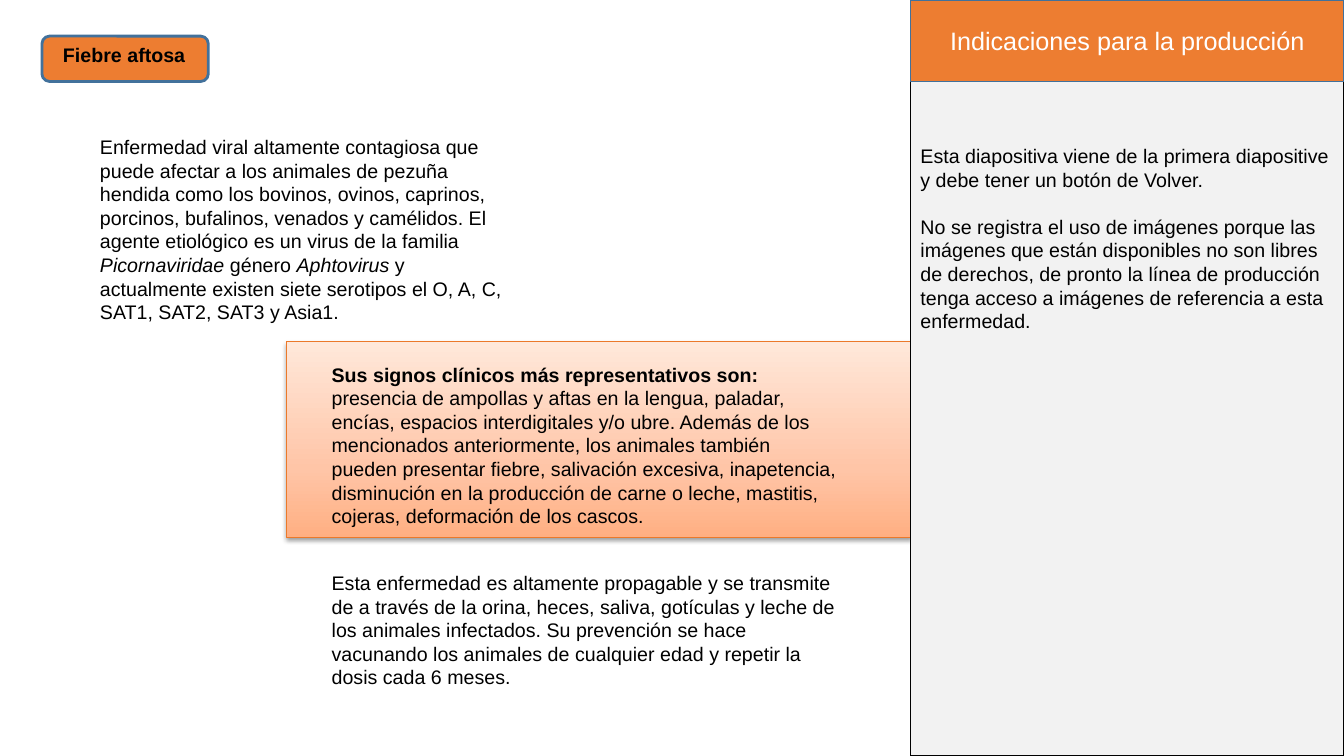
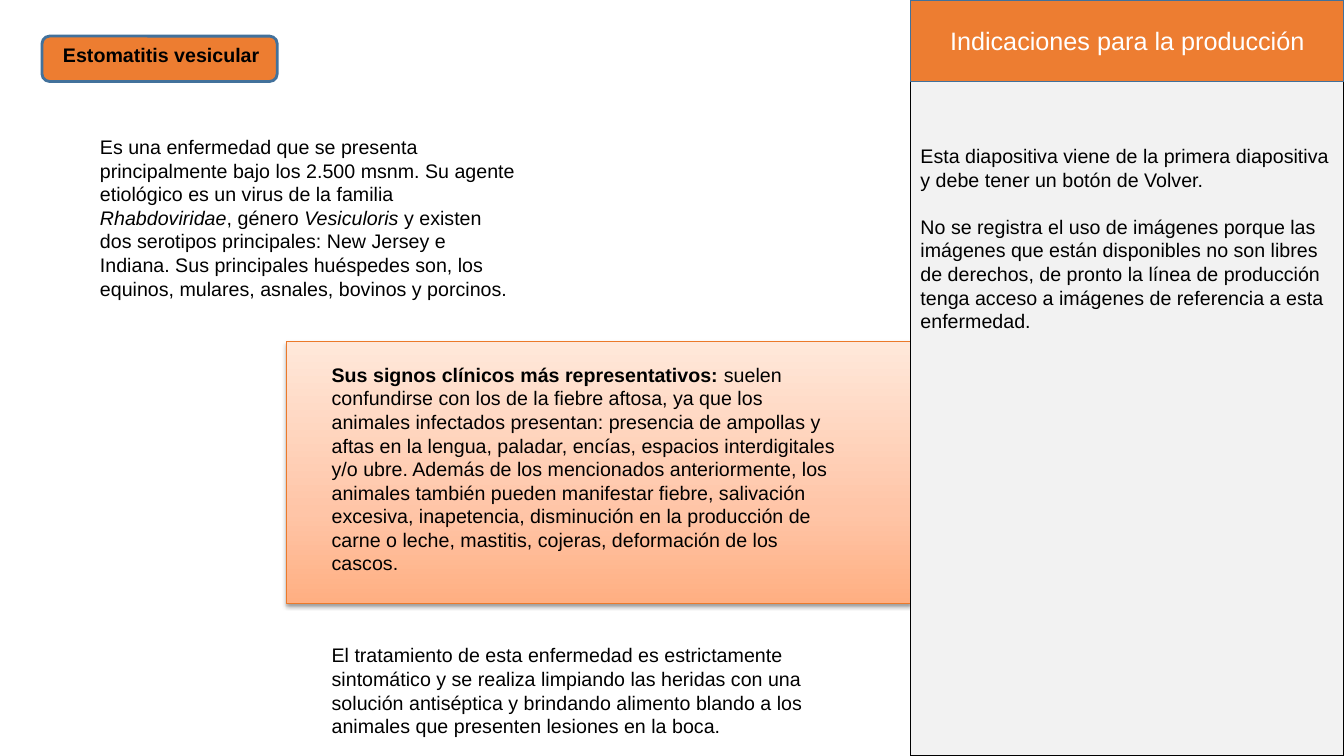
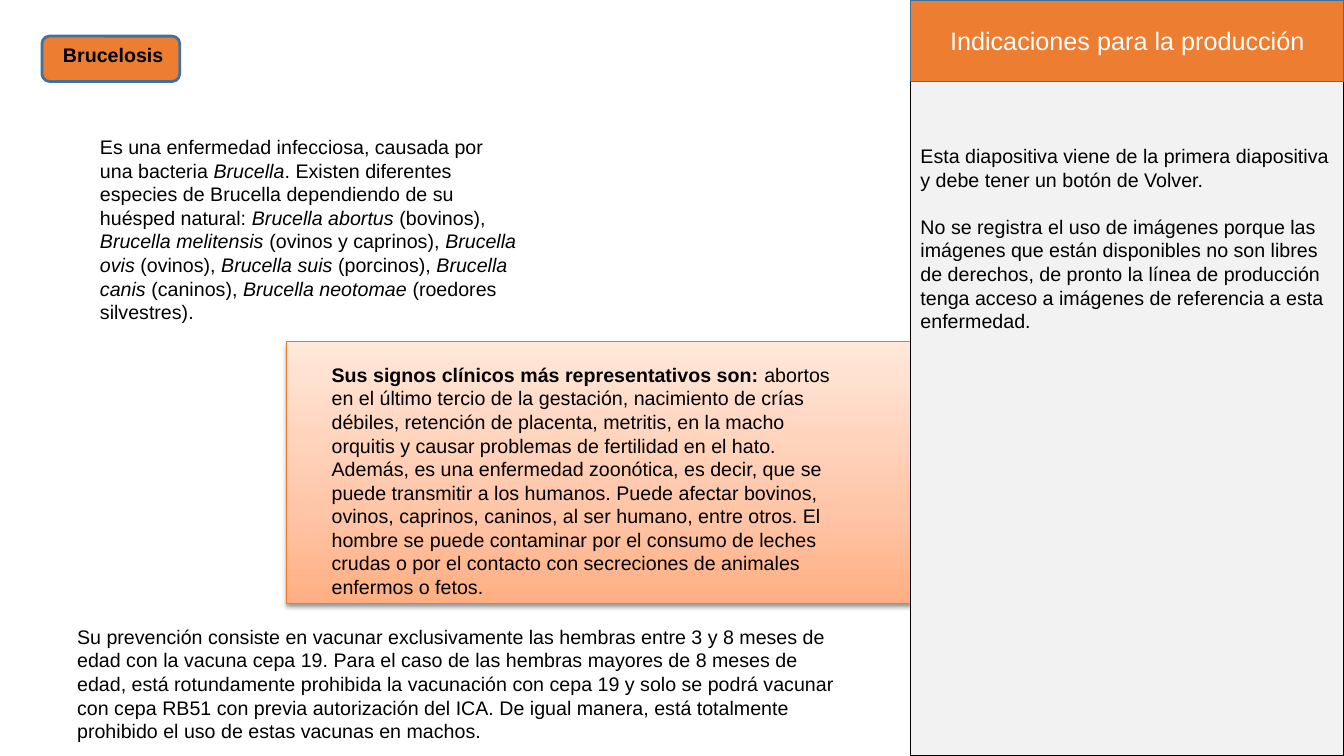
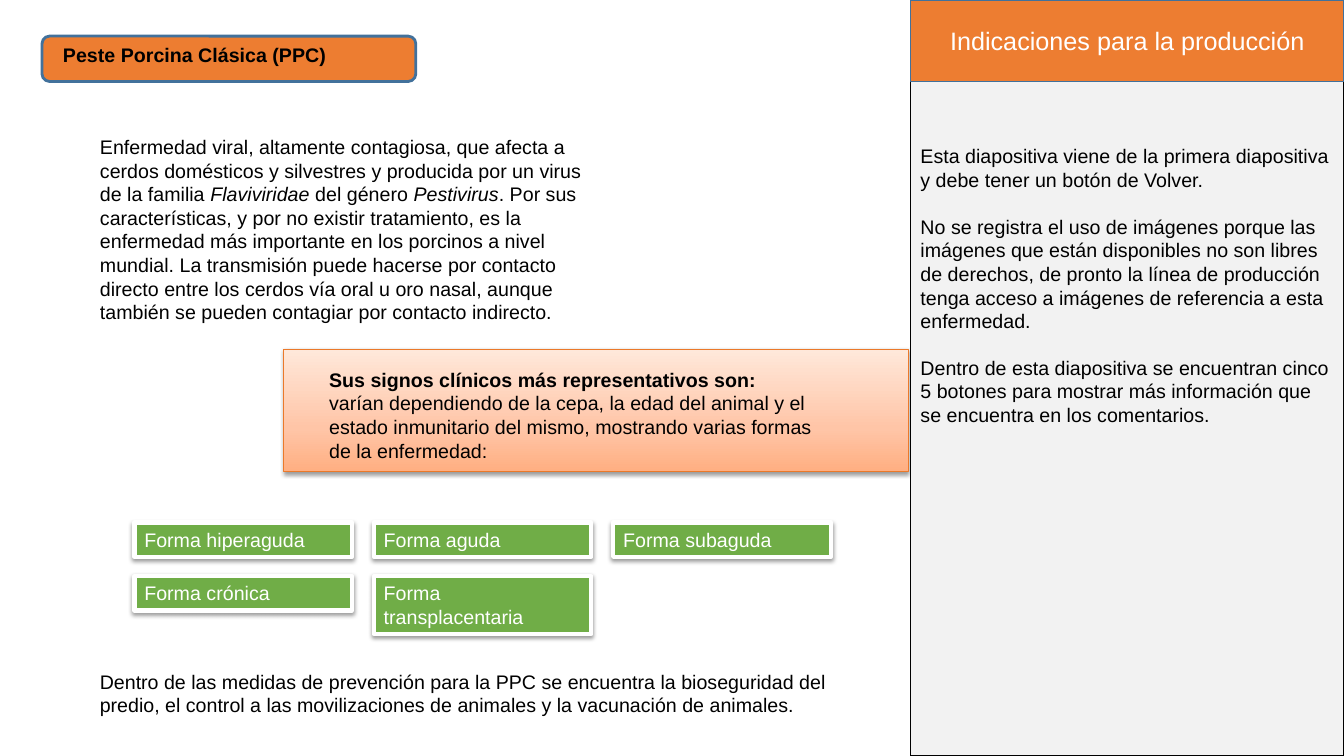
import pptx
import pptx.util
import pptx.dml.color
import pptx.enum.shapes
import pptx.enum.text
import pptx.oxml
import pptx.oxml.ns
from lxml import etree

RGB = pptx.dml.color.RGBColor
KIND = pptx.enum.shapes.MSO_SHAPE
ALIGN = pptx.enum.text.PP_ALIGN
ANCHOR = pptx.enum.text.MSO_ANCHOR
Pt = pptx.util.Pt

ORANGE = RGB(0xED, 0x7D, 0x31)
RUST = RGB(0xEB, 0x79, 0x2A)
BLUE = RGB(0x42, 0x71, 0x9B)
GREEN = RGB(0x70, 0xAD, 0x47)
GRAY = RGB(0xF2, 0xF2, 0xF2)
BLACK = RGB(0, 0, 0)
WHITE = RGB(0xFF, 0xFF, 0xFF)
PEACH = ((0, RGB(0xFF, 0xAF, 0x82)), (35, RGB(0xFF, 0xC5, 0xA7)),
         (100, RGB(0xFF, 0xE8, 0xDA)))

COLS, ROWS = 16, 9
FONT = "Arial"
SIZE = 14
GAP = 16.7

deck = pptx.Presentation()
deck.slide_width = pptx.util.Inches(13.33)
deck.slide_height = pptx.util.Inches(7.5)


def place(box):
    """Turn a box in grid columns and rows into slide lengths."""
    wide, high = deck.slide_width / COLS, deck.slide_height / ROWS
    return [round(n * u) for n, u in zip(box, (wide, high, wide, high))]


def write(frame, paras, mark="italic", size=SIZE, color=BLACK, gap=0):
    """Write paragraphs, styling the words between asterisks with mark."""
    frame.word_wrap = True
    frame.auto_size = pptx.enum.text.MSO_AUTO_SIZE.NONE
    frame.vertical_anchor = ANCHOR.TOP
    for i, text in enumerate(paras):
        para = frame.add_paragraph() if i else frame.paragraphs[0]
        para.alignment = ALIGN.LEFT
        para.space_before = Pt(gap if i else 0)
        for j, part in enumerate(text.split("*")):
            if part:
                run = para.add_run()
                run.text = part
                run.font.name, run.font.size = FONT, Pt(size)
                run.font.color.rgb = color
                setattr(run.font, mark, j % 2 == 1)


def note(slide, box, paras, **style):
    """Add a plain text box."""
    write(slide.shapes.add_textbox(*place(box)).text_frame, paras, **style)


def block(slide, box, fill, line, width, kind=KIND.RECTANGLE):
    """Add a filled and outlined shape without shadow."""
    shape = slide.shapes.add_shape(kind, *place(box))
    shape.shadow.inherit = False
    if fill is not None:
        shape.fill.solid()
        shape.fill.fore_color.rgb = fill
    shape.line.color.rgb = line
    shape.line.width = Pt(width)
    return shape


def shade(shape):
    """Give a shape a soft shadow below it."""
    list_ = shape._element.spPr.find(pptx.oxml.ns.qn("a:effectLst"))
    drop = etree.SubElement(
        list_, pptx.oxml.ns.qn("a:outerShdw"), blurRad=str(Pt(3.1)),
        dist=str(Pt(1.6)), dir="5400000", rotWithShape="0")
    tint = etree.SubElement(drop, pptx.oxml.ns.qn("a:srgbClr"), val="000000")
    etree.SubElement(tint, pptx.oxml.ns.qn("a:alpha"), val="38000")


def blend(shape, stops):
    """Fill a shape with a gradient that rises from the bottom."""
    marks = "".join(
        f'<a:gs pos="{pos * 1000}"><a:srgbClr val="{color}"/></a:gs>'
        for pos, color in stops)
    fill = pptx.oxml.parse_xml(
        f'<a:gradFill {pptx.oxml.ns.nsdecls("a")} rotWithShape="1">'
        f'<a:gsLst>{marks}</a:gsLst>'
        '<a:lin ang="16200000" scaled="0"/></a:gradFill>')
    shape._element.spPr.insert(2, fill)


def signs(slide, box, paras, drop=0.19):
    """Draw the callout with the clinical signs."""
    shape = block(slide, box, None, RUST, 0.75)
    blend(shape, PEACH)
    shade(shape)
    left, top, _, high = box
    return (left + 0.42, top + drop, 6.29, high - drop), paras


def panel(slide, box, paras):
    """Draw the side panel with its heading and directions."""
    left, top, wide, high = box
    block(slide, box, GRAY, BLACK, 1)
    note(slide, (left, top + 1.66, wide + 0.03, 3.96), paras, gap=GAP)
    head = block(slide, (left, top, wide, 0.97), ORANGE, BLUE, 1)
    write(head.text_frame, ["Indicaciones para la producción"],
          size=18, color=WHITE)
    head.text_frame.vertical_anchor = ANCHOR.MIDDLE
    head.text_frame.paragraphs[0].alignment = ALIGN.CENTER


def label(slide, box, text):
    """Draw the rounded tag and set the slide title over it."""
    left, top, wide, high = box
    block(slide, box, ORANGE, BLUE, 2, KIND.ROUNDED_RECTANGLE)
    title = slide.shapes.title
    title.left, title.top, title.width, title.height = place(
        (left + 0.13, top + 0.02, wide - 0.13, 0.41))
    write(title.text_frame, [f"*{text}*"], mark="bold")
    slide.shapes._spTree.append(title._element)


def intro(slide, box, text):
    """Set the opening text in the body placeholder, without bullets."""
    body = slide.placeholders[1]
    body.left, body.top, body.width, body.height = place(box)
    write(body.text_frame, [text])
    props = body.text_frame.paragraphs[0]._p.get_or_add_pPr()
    props.set("marL", "0")
    props.set("indent", "0")
    etree.SubElement(props, pptx.oxml.ns.qn("a:buNone"))


def forms(slide, box, names, count=3):
    """Lay out the green buttons in rows of count."""
    left, top, wide, high = box
    for i, name in enumerate(names):
        row, col = divmod(i, count)
        tall = 0.69 if len(name) > 20 else 0.41
        cell = (left + col * wide / count, top + row * high / 2, 2.59, tall)
        shape = block(slide, cell, GREEN, WHITE, 3)
        shade(shape)
        write(shape.text_frame, [name], color=WHITE)


def sheet(name, tag, lead, wide, call, facts, tail, close,
          hints, drop=0.19, kinds=()):
    """Build one disease slide."""
    slide = deck.slides.add_slide(deck.slide_layouts[1])
    area, paras = signs(slide, call, facts, drop)
    panel(slide, (10.84, 0, 5.16, 9), hints)
    intro(slide, (1.07, 1.55, wide, 2.33), lead)
    label(slide, (0.5, 0.43, tag, 0.54), name)
    note(slide, tail, [close])
    note(slide, area, paras, mark="bold")
    forms(slide, (1.6, 6.22, 8.55, 1.28), kinds)


BACK = "Esta diapositiva viene de la primera diapositiva y debe tener un botón de Volver."
HINTS = [
    BACK,
    "No se registra el uso de imágenes porque las imágenes que están disponibles "
    "no son libres de derechos, de pronto la línea de producción tenga acceso a "
    "imágenes de referencia a esta enfermedad."]
SIGNS = "*Sus signos clínicos más representativos son: *"

sheet(
    "Fiebre aftosa", 1.98,
    "Enfermedad viral altamente contagiosa que puede afectar a los animales de "
    "pezuña hendida como los bovinos, ovinos, caprinos, porcinos, bufalinos, "
    "venados y camélidos. El agente etiológico es un virus de la familia "
    "*Picornaviridae* género *Aphtovirus* y actualmente existen siete serotipos "
    "el O, A, C, SAT1, SAT2, SAT3 y Asia1.", 5.2,
    (3.41, 4.07, 7.43, 2.33),
    [SIGNS + "presencia de ampollas y aftas en la lengua, paladar, encías, "
     "espacios interdigitales y/o ubre. Además de los mencionados anteriormente, "
     "los animales también pueden presentar fiebre, salivación excesiva, "
     "inapetencia, disminución en la producción de carne o leche, mastitis, "
     "cojeras, deformación de los cascos."],
    (3.83, 6.74, 6.29, 1.54),
    "Esta enfermedad es altamente propagable y se transmite de a través de la "
    "orina, heces, saliva, gotículas y leche de los animales infectados. Su "
    "prevención se hace vacunando los animales de cualquier edad y repetir la "
    "dosis cada 6 meses.",
    [BACK.replace("diapositiva y", "diapositive y"), HINTS[1]])

sheet(
    "Estomatitis vesicular", 2.8,
    "Es una enfermedad que se presenta principalmente bajo los 2.500 msnm. Su "
    "agente etiológico es un virus de la familia *Rhabdoviridae*, género "
    "*Vesiculoris* y existen dos serotipos principales: New Jersey e Indiana. Sus "
    "principales huéspedes son, los equinos, mulares, asnales, bovinos y "
    "porcinos.", 5.2,
    (3.41, 4.07, 7.43, 3.11),
    [SIGNS.replace(" son", "") + "suelen confundirse con los de la fiebre aftosa, "
     "ya que los animales infectados presentan: presencia de ampollas y aftas en "
     "la lengua, paladar, encías, espacios interdigitales y/o ubre. Además de los "
     "mencionados anteriormente, los animales también pueden manifestar fiebre, "
     "salivación excesiva, inapetencia, disminución en la producción de carne o "
     "leche, mastitis, cojeras, deformación de los cascos."],
    (3.83, 7.6, 6.29, 1.25),
    "El tratamiento de esta enfermedad es estrictamente sintomático y se realiza "
    "limpiando las heridas con una solución antiséptica y brindando alimento "
    "blando a los animales que presenten lesiones en la boca.",
    HINTS)

sheet(
    "Brucelosis", 1.64,
    "Es una enfermedad infecciosa, causada por una bacteria *Brucella*. Existen "
    "diferentes especies de Brucella dependiendo de su huésped natural: "
    "*Brucella abortus *(bovinos), *Brucella melitensis *(ovinos y caprinos), "
    "*Brucella ovis *(ovinos), *Brucella suis *(porcinos),* Brucella canis "
    "*(caninos), *Brucella neotomae *(roedores silvestres).", 5.2,
    (3.41, 4.07, 7.43, 3.11),
    [SIGNS + "abortos en el último tercio de la gestación, nacimiento de crías "
     "débiles, retención de placenta, metritis, en la macho orquitis y causar "
     "problemas de fertilidad en el hato. Además, es una enfermedad zoonótica, es "
     "decir, que se puede transmitir a los humanos. Puede afectar bovinos, ovinos, "
     "caprinos, caninos, al ser humano, entre otros. El hombre se puede contaminar "
     "por el consumo de leches crudas o por el contacto con secreciones de "
     "animales enfermos o fetos."],
    (0.8, 7.38, 9.31, 1.54),
    "Su prevención consiste en vacunar exclusivamente las hembras entre 3 y 8 "
    "meses de edad con la vacuna cepa 19. Para el caso de las hembras mayores de 8 "
    "meses de edad, está rotundamente prohibida la vacunación con cepa 19 y solo "
    "se podrá vacunar con cepa RB51 con previa autorización del ICA. De igual "
    "manera, está totalmente prohibido el uso de estas vacunas en machos.",
    HINTS)

sheet(
    "Peste Porcina Clásica (PPC)", 4.45,
    "Enfermedad viral, altamente contagiosa, que afecta a cerdos domésticos y "
    "silvestres y producida por un virus de la familia *Flaviviridae* del género "
    "*Pestivirus*. Por sus características, y por no existir tratamiento, es la "
    "enfermedad más importante en los porcinos a nivel mundial. La transmisión "
    "puede hacerse por contacto directo entre los cerdos vía oral u oro nasal, "
    "aunque también se pueden contagiar por contacto indirecto.", 6.25,
    (3.38, 4.16, 7.43, 1.45),
    [SIGNS, "varían dependiendo de la cepa, la edad del animal y el estado "
     "inmunitario del mismo, mostrando varias formas de la enfermedad:"],
    (1.07, 7.91, 9.01, 0.78),
    "Dentro de las medidas de prevención para la PPC se encuentra la bioseguridad "
    "del predio, el control a las movilizaciones de animales y la vacunación de "
    "animales.",
    HINTS + ["Dentro de esta diapositiva se encuentran cinco 5 botones para mostrar "
             "más información que se encuentra en los comentarios."],
    0.16,
    ("Forma hiperaguda", "Forma aguda", "Forma subaguda", "Forma crónica",
     "Forma transplacentaria"))

deck.save("out.pptx")
